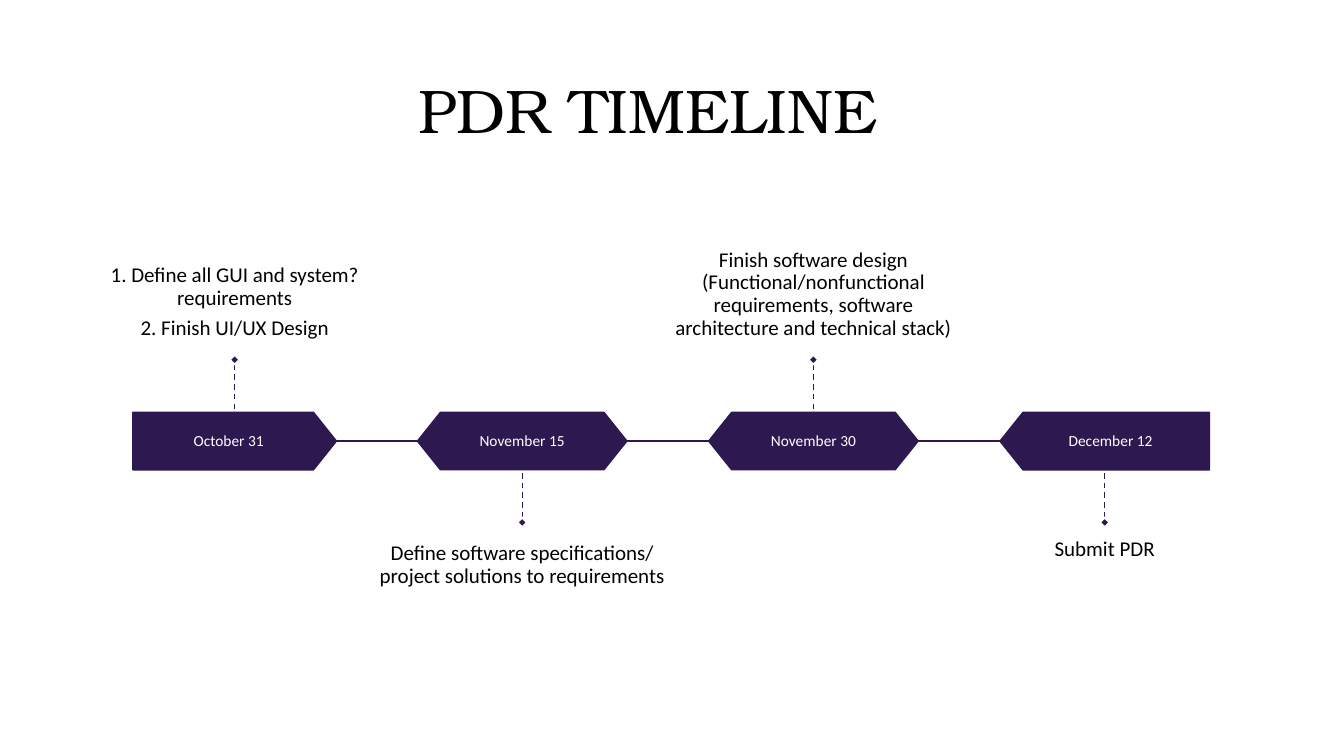
from dataclasses import dataclass
from itertools import pairwise

from lxml.etree import SubElement
from pptx import Presentation
from pptx.dml.color import RGBColor
from pptx.enum.dml import MSO_LINE_DASH_STYLE as Dash
from pptx.enum.shapes import MSO_CONNECTOR as Link, MSO_SHAPE as Shape
from pptx.enum.text import MSO_ANCHOR as Anchor, PP_ALIGN as Align
from pptx.oxml.ns import qn
from pptx.util import Cm, Pt


@dataclass(frozen=True)
class Theme:
    purple: RGBColor = RGBColor(0x2D, 0x18, 0x4F)
    white: RGBColor = RGBColor(0xFF, 0xFF, 0xFF)
    black: RGBColor = RGBColor(0, 0, 0)
    title_font: str = "TeX Gyre Bonum"
    body_font: str = "Calibri"
    title_size: int = 44
    note_size: int = 15
    date_size: int = 11


theme = Theme()


def write(box, text, *, size, color, font=theme.body_font, anchor=Anchor.MIDDLE,
          side=0.25, edge=0.13, after=0):
    frame = box.text_frame
    frame.word_wrap = True
    frame.vertical_anchor = anchor
    frame.margin_left = frame.margin_right = Cm(side)
    frame.margin_top = frame.margin_bottom = Cm(edge)
    frame.text = text
    for para in frame.paragraphs:
        para.alignment = Align.CENTER
        para.line_spacing = 0.9
        para.space_before = Pt(0)
        para.space_after = Pt(size * after)
        for span in para.runs:
            span.font.name = font
            span.font.size = Pt(size)
            span.font.color.rgb = color


def draw_line(start, end, dash=None):
    line = page.shapes.add_connector(Link.STRAIGHT, *map(Cm, start + end))
    line.line.color.rgb = theme.purple
    line.line.width = Pt(1)
    if dash:
        line.line.dash_style = dash
    SubElement(line._element.spPr, qn("a:effectLst"))


deck = Presentation()
deck.slide_width, deck.slide_height = Cm(33.87), Cm(19.05)
page = deck.slides.add_slide(deck.slide_layouts[5])

title = page.shapes.title
title.left, title.top, title.width, title.height = Cm(1.12), Cm(1.02), Cm(30.43), Cm(3.68)
write(title, "PDR TIMELINE", size=theme.title_size, color=theme.black, font=theme.title_font)

band_top, band_height = 10.39, 1.45
band_bottom = band_top + band_height
band_middle = band_top + band_height / 2
pitch, step_width = 7.34, 5.28
second_left = 10.52
stem, marker = 1.2, 0.25
note_height = 3.84

milestones = [
    ("October 31", "1. Define all GUI and system? requirements\n2. Finish UI/UX Design",
     Shape.PENTAGON, 0, 3.35, 5.13, -0.15),
    ("November 15", "Define software specifications/ project solutions to requirements",
     Shape.HEXAGON, 0, second_left, step_width, 0),
    ("November 30", "Finish software design (Functional/nonfunctional requirements, "
     "software architecture and technical stack)",
     Shape.HEXAGON, 0, second_left + pitch, step_width, 0),
    ("December 12", "Submit PDR",
     Shape.PENTAGON, 180, second_left + 2 * pitch, step_width, 0.15),
]

for index, (date, note, outline, turn, left, width, shift) in enumerate(milestones):
    center = left + width / 2
    above = index in (0, 2)

    step = page.shapes.add_shape(outline, Cm(left), Cm(band_top), Cm(width), Cm(band_height))
    step.adjustments[0] = 0.4
    step.rotation = turn

    date_box = page.shapes.add_textbox(
        Cm(left + shift), Cm(band_top), Cm(width), Cm(band_height))
    write(date_box, date, size=theme.date_size, color=theme.white, side=0.23, edge=0.23, after=0.35)

    if above:
        stem_start, stem_end = band_top, band_top - stem
        marker_top = stem_end - marker
        note_top, anchor = marker_top - note_height, Anchor.BOTTOM
    else:
        stem_start, stem_end = band_bottom, band_bottom + stem
        marker_top = stem_end
        note_top, anchor = marker_top + marker, Anchor.TOP

    note_box = page.shapes.add_textbox(
        Cm(center - pitch / 2), Cm(note_top), Cm(pitch), Cm(note_height))
    write(note_box, note, size=theme.note_size, color=theme.black,
          anchor=anchor, side=0, edge=0.38, after=0.35)

    draw_line((center, stem_end), (center, stem_start), Dash.DASH)
    diamond = page.shapes.add_shape(
        Shape.DIAMOND, Cm(center - marker / 2), Cm(marker_top), Cm(marker), Cm(marker))

    for shape, edge_color, weight in ((step, theme.purple, 1), (diamond, theme.white, 1.5)):
        shape.shadow.inherit = False
        shape.fill.solid()
        shape.fill.fore_color.rgb = theme.purple
        shape.line.color.rgb = edge_color
        shape.line.width = Pt(weight)

for (*_, left, width, _), (*_, next_left, _, _) in pairwise(milestones):
    draw_line((left + width, band_middle), (next_left, band_middle))

deck.save("out.pptx")
